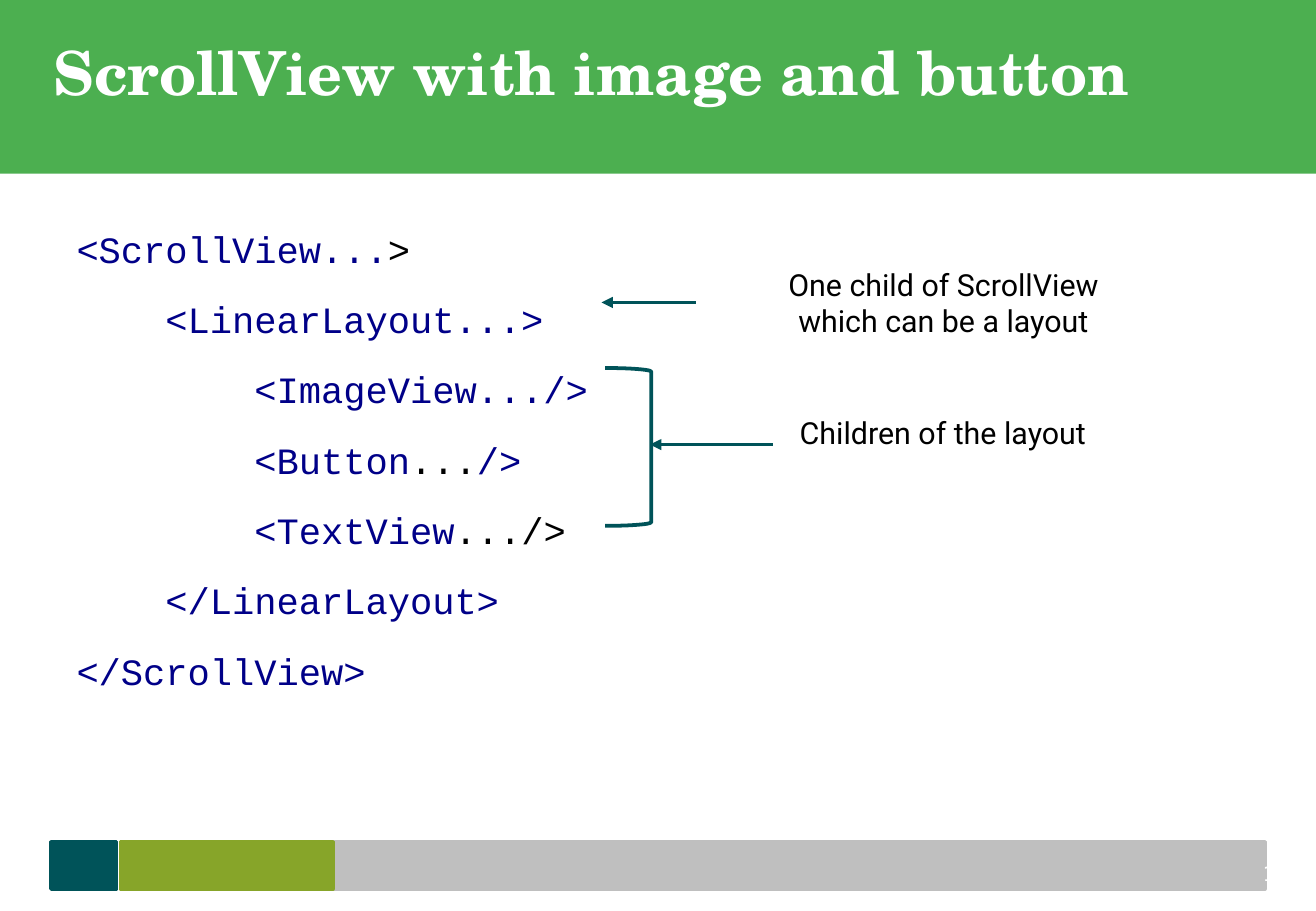
from lxml import etree
from pptx import Presentation
from pptx.dml.color import RGBColor
from pptx.enum.shapes import MSO_CONNECTOR, MSO_SHAPE
from pptx.enum.text import MSO_ANCHOR, MSO_AUTO_SIZE, PP_ALIGN
from pptx.oxml.ns import qn
from pptx.util import Inches, Pt

RECTANGLE, BRACKET = MSO_SHAPE.RECTANGLE, MSO_SHAPE.RIGHT_BRACKET
STRAIGHT = MSO_CONNECTOR.STRAIGHT
TOP, MIDDLE = MSO_ANCHOR.TOP, MSO_ANCHOR.MIDDLE
LEFT, CENTER, RIGHT = PP_ALIGN.LEFT, PP_ALIGN.CENTER, PP_ALIGN.RIGHT
NO_AUTOFIT = MSO_AUTO_SIZE.NONE

COLORS = {
    "header": "4CAF50", "teal": "005359", "olive": "87A529", "gray": "BFBFBF",
    "tag": "000088", "black": "000000", "white": "FFFFFF",
}
SLIDE_WIDTH, SLIDE_HEIGHT = 10.83, 7.5
INDENT = " " * 4

# Each code line: nesting depth and its (text, color) runs
CODE = [
    (0, [("<ScrollView...", "tag"), (">", "black")]),
    (1, [("<LinearLayout...>", "tag")]),
    (2, [("<ImageView.../>", "tag")]),
    (2, [("<Button", "tag"), ("...", "black"), ("/>", "tag")]),
    (2, [("<TextView", "tag"), (".../>", "black")]),
    (1, [("</LinearLayout>", "tag")]),
    (0, [("</ScrollView>", "tag")]),
]


def rgb(name):
    return RGBColor.from_string(COLORS[name])


def place(shape, box):
    shape.left, shape.top, shape.width, shape.height = map(Inches, box)


def prepare_frame(shape, anchor=TOP):
    frame = shape.text_frame
    frame.word_wrap = True
    frame.auto_size = NO_AUTOFIT
    frame.vertical_anchor = anchor
    frame.margin_left = frame.margin_right = Inches(0.1)
    frame.margin_top = frame.margin_bottom = Inches(0.1)
    return frame


def add_run(paragraph, text, font, size, color, bold=False):
    run = paragraph.add_run()
    run.text = text
    run.font.name, run.font.size, run.font.bold = font, Pt(size), bold
    run.font.color.rgb = rgb(color)


def add_paragraph(frame, index, align):
    paragraph = frame.add_paragraph() if index else frame.paragraphs[0]
    paragraph.alignment = align
    return paragraph


def add_label(slide, box, lines, font, size, color, align, anchor=TOP):
    frame = prepare_frame(slide.shapes.add_textbox(*map(Inches, box)), anchor)
    for index, line in enumerate(lines):
        add_run(add_paragraph(frame, index, align), line, font, size, color)


def add_bar(slide, box, color, outlined=True):
    bar = slide.shapes.add_shape(RECTANGLE, *map(Inches, box))
    bar.shadow.inherit = False
    bar.fill.solid()
    bar.fill.fore_color.rgb = rgb(color)
    if outlined:
        bar.line.color.rgb = rgb(color)
        bar.line.width = Pt(2)
    else:
        bar.line.fill.background()


def add_header(slide, box):
    left, top, width, height = box
    add_bar(slide, box, "header", outlined=False)
    title = slide.shapes.title
    place(title, (left + 0.34, top + 0.19, 9.47, 0.63))
    paragraph = add_paragraph(prepare_frame(title), 0, LEFT)
    add_run(paragraph, "ScrollView with image and button",
            "TeX Gyre Schola", 36, "white", bold=True)
    # Bring the title in front of the band
    slide.shapes._spTree.append(title._element)


def add_footer(slide, box):
    left, top, width, height = box
    add_bar(slide, (left, top, 0.54, height), "teal")
    add_bar(slide, (left + 2.32, top, width - 2.32, height), "gray")
    add_bar(slide, (left + 0.57, top, 1.75, height), "olive")
    add_label(slide, (left + 9.62, top - 0.02, 0.65, 0.57), ["13"],
              "DejaVu Sans Mono", 12, "white", RIGHT, MIDDLE)


def add_code(slide, box):
    body = slide.placeholders[1]
    place(body, box)
    frame = prepare_frame(body)
    for index, (depth, runs) in enumerate(CODE):
        paragraph = add_paragraph(frame, index, LEFT)
        properties = paragraph._p.get_or_add_pPr()
        properties.set("marL", "0")
        properties.set("indent", "0")
        paragraph.line_spacing = 1.58
        paragraph.space_before = paragraph.space_after = Pt(0)
        etree.SubElement(properties, qn("a:buNone"))
        for position, (text, color) in enumerate(runs):
            prefix = "" if position else INDENT * depth
            add_run(paragraph, prefix + text, "Courier New", 22, color)


def add_arrow(slide, tip, tail, y):
    """Draw a horizontal arrow pointing at tip."""
    arrow = slide.shapes.add_connector(
        STRAIGHT, Inches(tip), Inches(y), Inches(tail), Inches(y))
    arrow.line.color.rgb = rgb("teal")
    arrow.line.width = Pt(2.25)
    etree.SubElement(arrow.line._get_or_add_ln(), qn("a:headEnd"), type="triangle")
    etree.SubElement(arrow._element.spPr, qn("a:effectLst"))


def add_annotations(slide, box):
    left, top, width, height = box
    add_label(slide, (left + 1.26, top + 1.22, 3.1, 0.43),
              ["Children of the layout"], "Roboto", 18, "black", CENTER)
    add_label(slide, (left + 0.83, top, 3.97, 0.71),
              ["One child of ScrollView", "which can be a layout"],
              "Roboto", 18, "black", CENTER)
    bracket = slide.shapes.add_shape(
        BRACKET, Inches(left + 0.03), Inches(top + 0.94), Inches(0.38), Inches(1.3))
    bracket.adjustments[0] = 0.08
    bracket.shadow.inherit = False
    bracket.fill.background()
    bracket.line.color.rgb = rgb("teal")
    bracket.line.width = Pt(2.25)
    add_arrow(slide, left + 0.4, left + 1.41, top + 1.57)
    add_arrow(slide, left, left + 0.78, top + 0.4)


def main():
    presentation = Presentation()
    presentation.slide_width = Inches(SLIDE_WIDTH)
    presentation.slide_height = Inches(SLIDE_HEIGHT)
    slide = presentation.slides.add_slide(presentation.slide_layouts[1])
    add_footer(slide, (0.42, 6.93, 9.99, 0.39))
    add_header(slide, (0, 0, SLIDE_WIDTH, 1.43))
    add_code(slide, (0.53, 1.55, 6.42, 3.74))
    add_annotations(slide, (4.95, 2.09, 4.8, 2.24))
    presentation.save("out.pptx")


if __name__ == "__main__":
    main()
